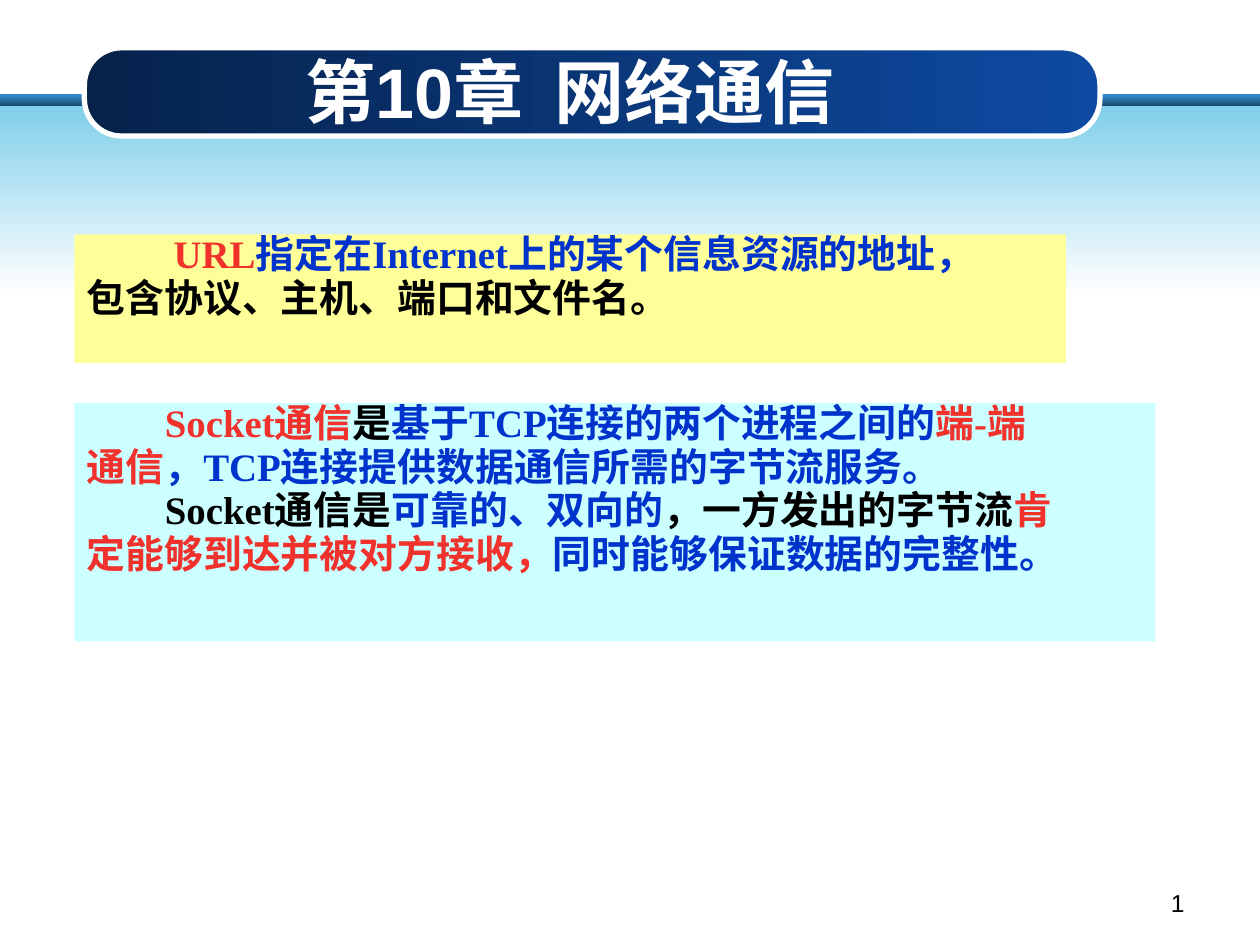
import dataclasses
import typing

import pptx
import pptx.dml.color
import pptx.enum.shapes
import pptx.enum.text
import pptx.util
from lxml import etree

Inches = pptx.util.Inches
Pt = pptx.util.Pt
RGBColor = pptx.dml.color.RGBColor
KIND = pptx.enum.shapes.MSO_SHAPE
ALIGN = pptx.enum.text.PP_ALIGN
ANCHOR = pptx.enum.text.MSO_ANCHOR

WHITE = RGBColor(0xFF, 0xFF, 0xFF)
BLACK = RGBColor(0x00, 0x00, 0x00)
RED = RGBColor(0xF0, 0x31, 0x2C)
BLUE = RGBColor(0x00, 0x33, 0xCC)
YELLOW = RGBColor(0xFF, 0xFF, 0x99)
CYAN = RGBColor(0xCC, 0xFF, 0xFF)
STRIPE = (RGBColor(0x31, 0x91, 0xD3), RGBColor(0x17, 0x43, 0x62))
SKY = (RGBColor(0x81, 0xCF, 0xEB), WHITE)
NAVY = (RGBColor(0x06, 0x22, 0x4B), RGBColor(0x0E, 0x4A, 0xA2))

HAN = "Noto Sans CJK SC"
HANG = 0.37
Box = tuple[float, float, float, float]


@dataclasses.dataclass
class Band:
    box: Box
    kind: KIND
    stops: tuple[RGBColor, RGBColor]
    angle: int


@dataclasses.dataclass
class Line:
    runs: list[tuple[str, RGBColor]]
    start: float = 0


@dataclasses.dataclass
class Panel:
    box: Box
    fill: RGBColor
    lines: list[Line]


BANDS = [
    Band((0, 0.75, 10, 0.1), KIND.RECTANGLE, STRIPE, 270),
    Band((0, 0.84, 10, 1.49), KIND.RECTANGLE, SKY, 270),
    Band((0.67, 0.38, 8.06, 0.7), KIND.ROUNDED_RECTANGLE, NAVY, 0),
]

PANELS = [
    Panel((0.59, 1.86, 7.87, 1.02), YELLOW, [
        Line([("URL", RED), ("指定在Internet上的某个信息资源的地址，", BLUE)], 0.69),
        Line([("包含协议、主机、端口和文件名。", BLACK)]),
    ]),
    Panel((0.59, 3.2, 8.58, 1.89), CYAN, [
        Line([("Socket通信", RED), ("是", BLACK),
              ("基于TCP连接的两个进程之间的", BLUE), ("端-端", RED)], 0.62),
        Line([("通信", RED), ("，TCP连接提供数据通信所需的字节流服务。", BLUE)]),
        Line([("Socket通信是", BLACK), ("可靠的、双向的", BLUE),
              ("，一方发出的字节流", BLACK), ("肯", RED)], 0.62),
        Line([("定能够到达并被对方接收，", RED),
              ("同时能够保证数据的完整性。", BLUE)]),
    ]),
]


def apply(target: typing.Any, values: dict[str, typing.Any]) -> None:
    for name, value in values.items():
        setattr(target, name, value)


def place(shape: typing.Any, box: Box) -> None:
    names = ("left", "top", "width", "height")
    apply(shape, {name: Inches(size) for name, size in zip(names, box)})


def add_run(para: typing.Any, text: str, size: float, face: str,
            color: RGBColor, bold: bool) -> None:
    run = para.add_run()
    run.text = text
    apply(run.font, {"size": Pt(size), "name": face, "bold": bold})
    run.font.color.rgb = color
    # East Asian face
    props = run.font._element
    tag = etree.SubElement(props, pptx.oxml.ns.qn("a:ea"))
    tag.set("typeface", HAN)


def set_frame(frame: typing.Any, anchor: ANCHOR) -> None:
    apply(frame, {
        "word_wrap": True,
        "auto_size": pptx.enum.text.MSO_AUTO_SIZE.NONE,
        "vertical_anchor": anchor,
        "margin_left": Inches(0.1), "margin_right": Inches(0.1),
        "margin_top": Inches(0.05), "margin_bottom": Inches(0.05),
    })


def add_shape(slide: typing.Any, kind: KIND, box: Box) -> typing.Any:
    shape = slide.shapes.add_shape(kind, *map(Inches, box))
    shape.shadow.inherit = False
    shape.line.fill.background()
    return shape


def draw_band(slide: typing.Any, band: Band) -> None:
    shape = add_shape(slide, band.kind, band.box)
    shape.fill.gradient()
    shape.fill.gradient_angle = band.angle
    for stop, color in zip(shape.fill.gradient_stops, band.stops):
        stop.color.rgb = color
    if band.kind == KIND.ROUNDED_RECTANGLE:
        shape.adjustments[0] = 0.42
        shape.line.color.rgb = WHITE
        shape.line.width = Pt(3)


def draw_panel(slide: typing.Any, panel: Panel) -> None:
    shape = add_shape(slide, KIND.RECTANGLE, panel.box)
    shape.fill.solid()
    shape.fill.fore_color.rgb = panel.fill
    frame = shape.text_frame
    set_frame(frame, ANCHOR.TOP)
    for index, line in enumerate(panel.lines):
        para = frame.add_paragraph() if index else frame.paragraphs[0]
        apply(para, {"alignment": ALIGN.LEFT, "line_spacing": 0.75,
                     "space_before": Pt(5 if index else 0)})
        props = para._p.get_or_add_pPr()
        props.set("marL", str(Inches(HANG)))
        props.set("indent", str(Inches(line.start - HANG)))
        for text, color in line.runs:
            add_run(para, text, 22.2, "Times New Roman", color, True)


deck = pptx.Presentation()
apply(deck, {"slide_width": Inches(10), "slide_height": Inches(7.5)})
slide = deck.slides.add_slide(deck.slide_layouts[5])

# Header bands
for band in BANDS:
    draw_band(slide, band)

# Title, raised above the bands
title = slide.shapes.title
place(title, (2.16, 0.44, 4.73, 0.66))
set_frame(title.text_frame, ANCHOR.BOTTOM)
head = title.text_frame.paragraphs[0]
head.alignment = ALIGN.CENTER
add_run(head, "第10章  网络通信", 40, "Arial", WHITE, True)
slide.shapes._spTree.append(title._element)

# Text panels
for panel in PANELS:
    draw_panel(slide, panel)

# Page number
page = slide.shapes.add_textbox(*map(Inches, (7.17, 7, 2.33, 0.35)))
set_frame(page.text_frame, ANCHOR.TOP)
para = page.text_frame.paragraphs[0]
para.alignment = ALIGN.RIGHT
add_run(para, "1", 14, "Arial", BLACK, False)

deck.save("out.pptx")
